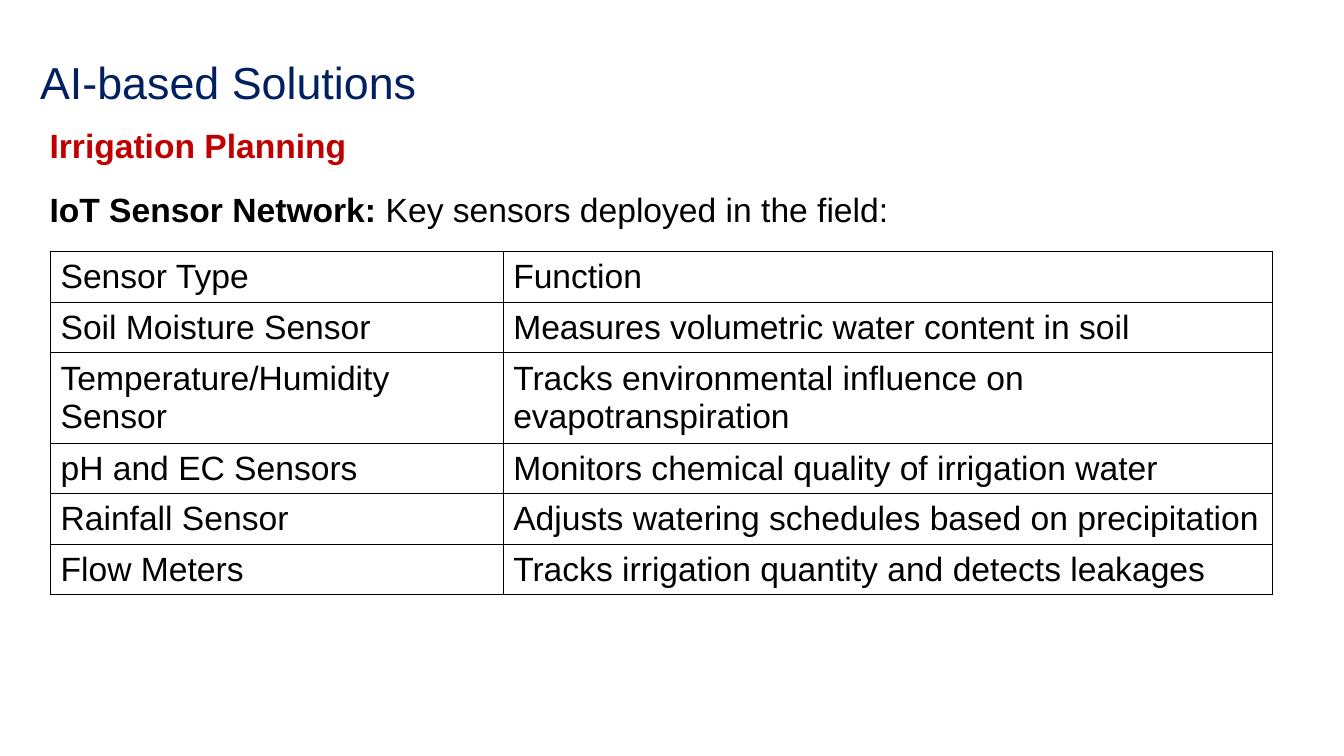
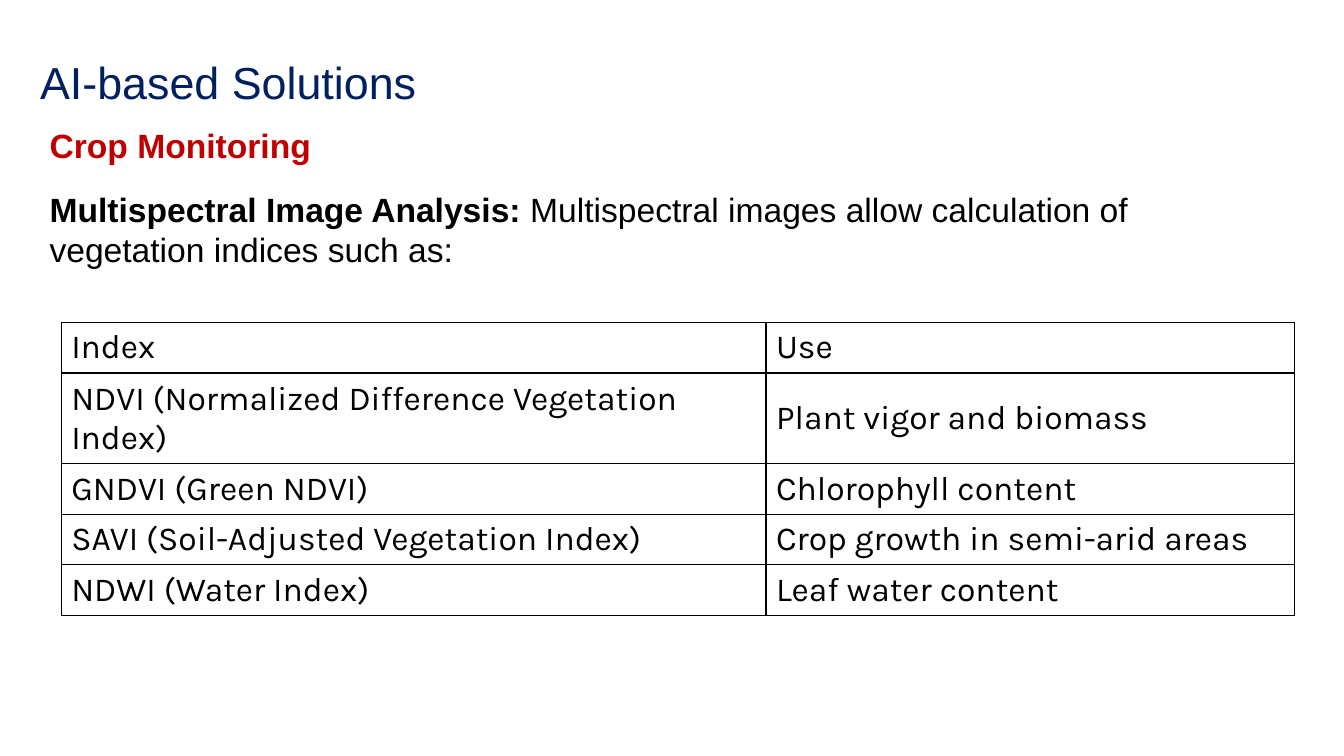
from dataclasses import dataclass

from lxml.etree import SubElement as Sub
from pptx import Presentation
from pptx.dml.color import RGBColor as RGB
from pptx.enum.text import MSO_ANCHOR as Anchor
from pptx.oxml.ns import qn
from pptx.util import Inches, Pt

# Shared style
WIDE, HIGH = 13.33, 7.5
NAVY, RED, BLACK = "002060", "C00000", "000000"
TITLE = "AI-based Solutions"


@dataclass(frozen=True)
class Box:
    """Place and size as percent of the slide."""
    left: float
    top: float
    width: float
    height: float


@dataclass(frozen=True)
class Grid:
    """Table: place and column widths as percent of the slide."""
    left: float
    top: float
    cols: tuple[float, ...]
    rows: tuple[tuple[str, ...], ...]
    font: str = "Arial"


@dataclass(frozen=True)
class Page:
    topic: str
    lead: str
    text: str
    grid: Grid


HEAD = Box(2.25, 2.53, 95.12, 13.07)
BODY = Box(2.95, 16.53, 93.32, 75.33)
ROW = 1  # least height: rows grow to fit their text

PAGES = (
    Page("Irrigation Planning", "IoT Sensor Network: ",
         "Key sensors deployed in the field:",
         Grid(3.76, 33.3, (33.68, 57.24), (
             ("Sensor Type", "Function"),
             ("Soil Moisture Sensor", "Measures volumetric water content in soil"),
             ("Temperature/Humidity Sensor",
              "Tracks environmental influence on evapotranspiration"),
             ("pH and EC Sensors", "Monitors chemical quality of irrigation water"),
             ("Rainfall Sensor", "Adjusts watering schedules based on precipitation"),
             ("Flow Meters", "Tracks irrigation quantity and detects leakages"),
         ))),
    Page("Crop Monitoring", "Multispectral Image Analysis: ",
         "Multispectral images allow calculation of vegetation indices such as:",
         Grid(4.55, 42.67, (52.44, 39.31), (
             ("Index", "Use"),
             ("NDVI (Normalized Difference Vegetation Index)",
              "Plant vigor and biomass"),
             ("GNDVI (Green NDVI)", "Chlorophyll content"),
             ("SAVI (Soil-Adjusted Vegetation Index)",
              "Crop growth in semi-arid areas"),
             ("NDWI (Water Index)", "Leaf water content"),
         ), "Karla")),
)


def across(share: float) -> int:
    return Inches(WIDE * share / 100)


def down(share: float) -> int:
    return Inches(HIGH * share / 100)


def paint(font, color: str) -> None:
    font.color.rgb = RGB.from_string(color)


def write(para, text: str, *, size: float = 24, color: str = BLACK,
          bold: bool = False, font: str = "Arial") -> None:
    run = para.add_run()
    run.text = text
    run.font.name, run.font.size, run.font.bold = font, Pt(size), bold
    paint(run.font, color)


def frame(slide, box: Box, anchor: Anchor = Anchor.TOP):
    shape = slide.shapes.add_textbox(across(box.left), down(box.top),
                                     across(box.width), down(box.height))
    shape.text_frame.word_wrap = True
    shape.text_frame.vertical_anchor = anchor
    return shape.text_frame


def edge(cell, color: str = BLACK, width: float = 1) -> None:
    """Draw all four borders of a cell."""
    props = cell._tc.get_or_add_tcPr()
    for side in ("a:lnL", "a:lnR", "a:lnT", "a:lnB"):
        line = Sub(props, qn(side), w=str(Pt(width)))
        Sub(Sub(line, qn("a:solidFill")), qn("a:srgbClr"), val=color)


def draw_grid(slide, grid: Grid) -> None:
    count = len(grid.rows)
    table = slide.shapes.add_table(
        count, len(grid.cols), across(grid.left), down(grid.top),
        across(sum(grid.cols)), down(ROW * count)).table
    table.first_row = table.horz_banding = False
    for col, width in zip(table.columns, grid.cols):
        col.width = across(width)
    for row, texts in zip(table.rows, grid.rows):
        for cell, text in zip(row.cells, texts):
            edge(cell)
            cell.fill.background()
            cell.vertical_anchor = Anchor.MIDDLE
            write(cell.text_frame.paragraphs[0], text, font=grid.font)


def draw_page(slide, page: Page) -> None:
    # Title
    title = frame(slide, HEAD, Anchor.MIDDLE).paragraphs[0]
    title.line_spacing = 1.5
    write(title, TITLE, size=32, color=NAVY)

    # Topic and lead sentence
    body = frame(slide, BODY)
    topic = body.paragraphs[0]
    topic.line_spacing = 0.9
    write(topic, page.topic, color=RED, bold=True)
    lead = body.add_paragraph()
    lead.line_spacing, lead.space_before = 1.0, Pt(16)
    write(lead, page.lead, bold=True)
    write(lead, page.text)

    # Table
    draw_grid(slide, page.grid)


def main() -> None:
    deck = Presentation()
    deck.slide_width, deck.slide_height = Inches(WIDE), Inches(HIGH)
    blank = deck.slide_layouts[6]
    for page in PAGES:
        draw_page(deck.slides.add_slide(blank), page)
    deck.save("out.pptx")


if __name__ == "__main__":
    main()
